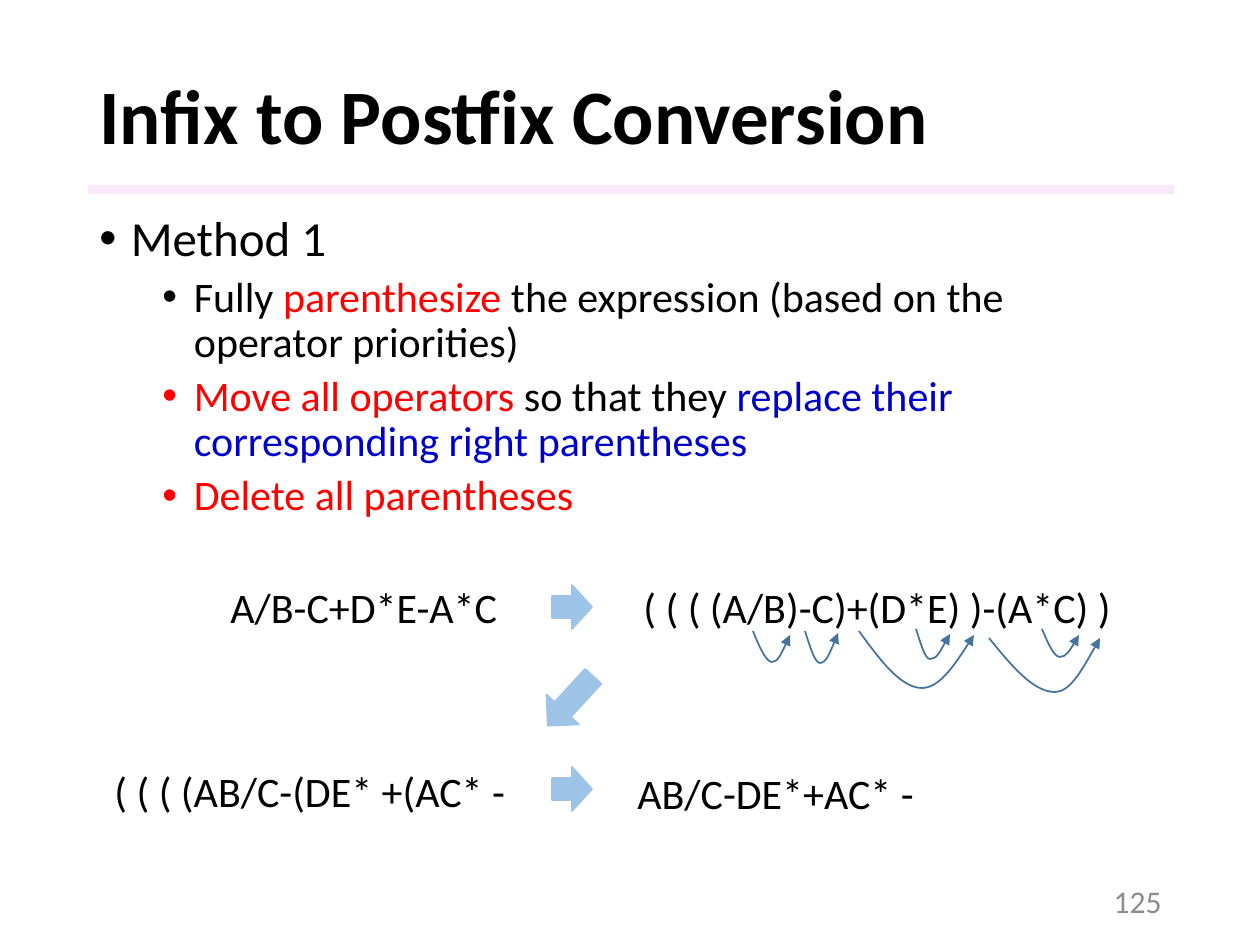
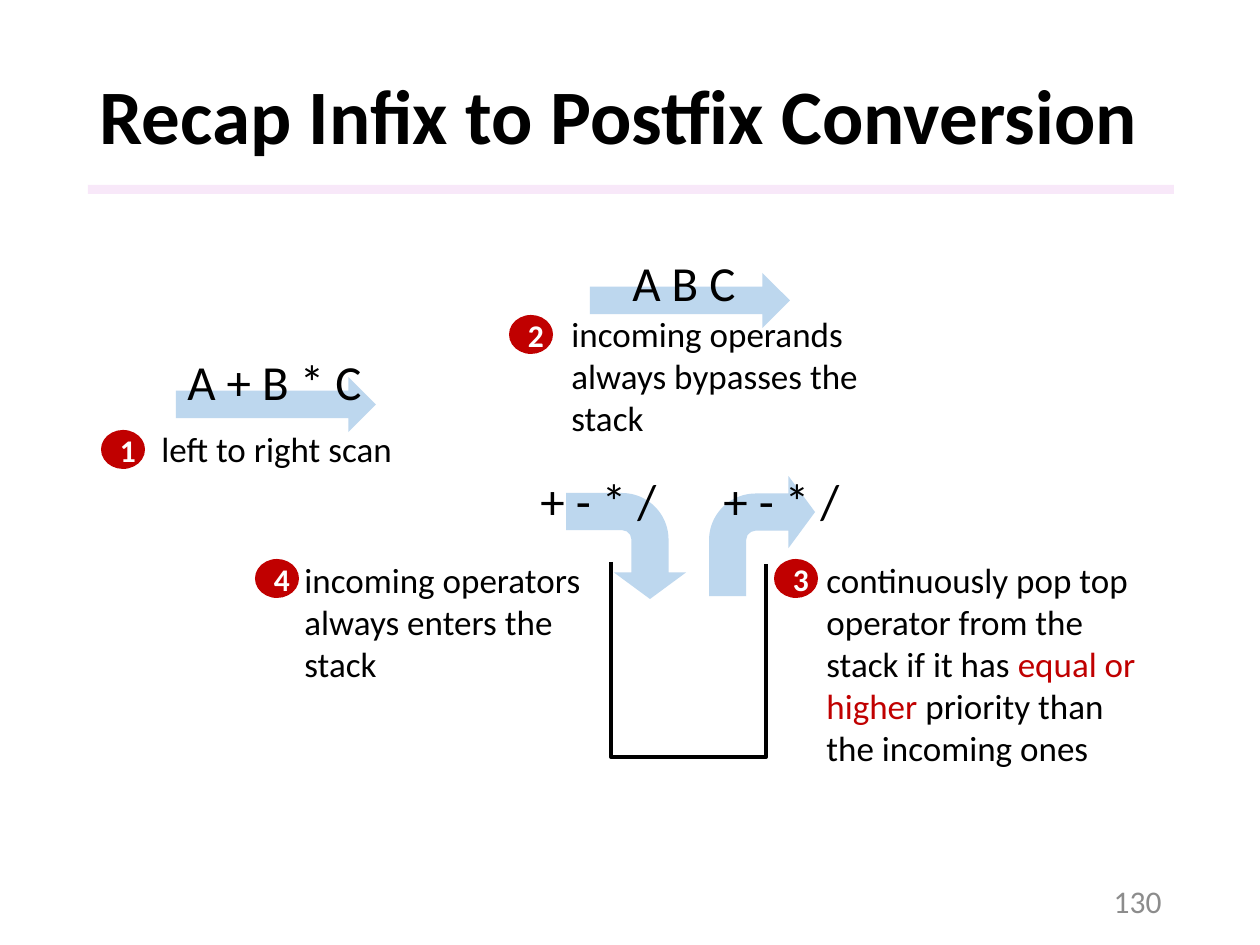
from lxml import etree
from pptx import Presentation
from pptx.dml.color import RGBColor
from pptx.enum.shapes import MSO_SHAPE
from pptx.enum.text import MSO_ANCHOR, PP_ALIGN
from pptx.oxml.ns import qn
from pptx.util import Pt

PX = 914400 / 126  # EMU per px
FONT = "Calibri"
BLACK = RGBColor(0x00, 0x00, 0x00)
WHITE = RGBColor(0xFF, 0xFF, 0xFF)
GREY = RGBColor(0x8C, 0x8C, 0x8C)
RED = RGBColor(0xFF, 0x00, 0x00)
DARK_RED = RGBColor(0xC0, 0x00, 0x00)
BLUE = RGBColor(0x00, 0x00, 0xCC)
LILAC = RGBColor(0xF3, 0xD2, 0xF4)
STEP_BLUE = RGBColor(0x9D, 0xC3, 0xE6)
FLOW_BLUE = RGBColor(0xBD, 0xD7, 0xEE)
CURVE_BLUE = RGBColor(0x43, 0x73, 0x9E)
RECTANGLE, ELLIPSE = MSO_SHAPE.RECTANGLE, MSO_SHAPE.OVAL
RIGHT_ARROW, BENT_ARROW = MSO_SHAPE.RIGHT_ARROW, MSO_SHAPE.BENT_ARROW
MIDDLE, RIGHT, CENTER = MSO_ANCHOR.MIDDLE, PP_ALIGN.RIGHT, PP_ALIGN.CENTER


def add_text(slide, box, paragraphs, size, bold=False, wrap=True):
    """Each paragraph is a list of (text, colour) runs."""
    frame = slide.shapes.add_textbox(*[int(v * PX) for v in box]).text_frame
    frame.word_wrap = wrap
    for i, runs in enumerate(paragraphs):
        paragraph = frame.add_paragraph() if i else frame.paragraphs[0]
        for words, colour in runs:
            run = paragraph.add_run()
            run.text = words
            run.font.name, run.font.size, run.font.bold = FONT, Pt(size), bold
            run.font.color.rgb = colour
    return frame


def add_block(slide, kind, box, colour, outline=False, rotation=0):
    block = slide.shapes.add_shape(kind, *[int(v * PX) for v in box])
    block.shadow.inherit = False
    block.rotation = rotation
    block.fill.solid()
    block.fill.fore_color.rgb = colour
    if outline:
        block.line.color.rgb = colour
        block.line.width = Pt(1)
    else:
        block.line.fill.background()
    return block


prs = Presentation()
prs.slide_width, prs.slide_height = int(1260 * PX), int(945 * PX)

# Shared title, band and slide number
slides = []
for title, number in [("Infix to Postfix Conversion", "125"),
                      ("Recap Infix to Postfix Conversion", "130")]:
    slide = prs.slides.add_slide(prs.slide_layouts[6])
    slides.append(slide)
    band = add_block(slide, RECTANGLE, (88, 185, 1086, 9), LILAC)
    band_colour = next(band._element.spPr.iter(qn("a:srgbClr")))
    etree.SubElement(band_colour, qn("a:alpha"), val="50000")
    heading = add_text(slide, (87, 50, 1086, 140), [[(title, BLACK)]], 44, bold=True)
    heading.vertical_anchor = MIDDLE
    heading.paragraphs[0].line_spacing = 0.9
    footer = add_text(slide, (890, 876, 284, 50), [[(number, GREY)]], 18)
    footer.vertical_anchor = MIDDLE
    footer.paragraphs[0].alignment = RIGHT
method, recap = slides

# Slide 1: bulleted steps
steps = add_text(method, (87, 208, 1086, 643), [
    [("Method 1", BLACK)],
    [("Fully ", BLACK), ("parenthesize ", RED),
     ("the expression (based on the operator priorities)", BLACK)],
    [("Move all operators ", RED), ("so that they ", BLACK),
     ("replace their corresponding right parentheses", BLUE)],
    [("Delete all parentheses", RED)],
], 24)
for i, paragraph in enumerate(steps.paragraphs):
    props = paragraph._p.get_or_add_pPr()
    props.set("marL", "685800" if i else "228600")
    props.set("indent", "-228600")
    etree.SubElement(props, qn("a:buFont"), typeface="Arial")
    etree.SubElement(props, qn("a:buChar"), char="•")
    paragraph.line_spacing = 0.9
    if i:
        paragraph.level = 1
        paragraph.space_before = Pt(5)
steps.paragraphs[0].runs[0].font.size = Pt(28)

# Slide 1: worked example
for box, expression in [
    ((218, 575, 295, 63), "A/B-C+D*E-A*C"),
    ((631, 575, 496, 63), "( ( ( (A/B)-C)+(D*E) )-(A*C) )"),
    ((102, 759, 432, 63), "( ( ( (AB/C-(DE* +(AC* -"),
    ((625, 761, 305, 63), "AB/C-DE*+AC* -"),
]:
    add_text(method, box, [[(expression, BLACK)]], 24, wrap=False)
for box, rotation in [((552, 585, 40, 44), 0), ((537, 679, 67, 44), 132.6),
                      ((552, 767, 40, 44), 0)]:
    add_block(method, RIGHT_ARROW, box, STEP_BLUE, outline=True, rotation=rotation)

# Slide 1: operator moves, each given by start, lowest point and end
for (x0, y0), (x1, y1), (x2, y2) in [
    ((753, 631), (772, 662), (790, 635)),
    ((805, 631), (820, 663), (838, 633)),
    ((916, 629), (930, 659), (950, 634)),
    ((859, 631), (922, 688), (974, 635)),
    ((1042, 629), (1060, 657), (1079, 635)),
    ((989, 638), (1055, 692), (1100, 638)),
]:
    fall, rise = (x1 - x0) / 3, (x2 - x1) / 3
    builder = method.shapes.build_freeform(x0, y0, scale=PX)
    builder.add_line_segments([
        (x0 + fall, (y0 + y1) / 2), (x1 - fall, y1), (x1, y1),
        (x1 + rise, y1), (x2 - rise, (y1 + y2) / 2), (x2, y2)], close=False)
    move = builder.convert_to_shape()
    move.shadow.inherit = False
    move.fill.background()
    move.line.color.rgb = CURVE_BLUE
    move.line.width = Pt(1)
    etree.SubElement(move.line._get_or_add_ln(), qn("a:tailEnd"), type="triangle")
    # Turn every three line segments into one cubic curve
    segments = list(move._element.iter(qn("a:lnTo")))
    outline = segments[0].getparent()
    for first in (0, 3):
        curve = etree.SubElement(outline, qn("a:cubicBezTo"))
        for segment in segments[first:first + 3]:
            curve.append(segment[0])
            outline.remove(segment)

# Slide 2: flow arrows
for box in [(176, 377, 200, 55), (590, 273, 200, 55)]:
    add_block(recap, RIGHT_ARROW, box, FLOW_BLUE)
for box, rotation in [((573, 486, 106, 120), 90), ((709, 476, 106, 120), 0)]:
    bend = add_block(recap, BENT_ARROW, box, FLOW_BLUE, rotation=rotation)
    for i, value in enumerate([0.35, 0.34, 0.25, 0.44]):
        bend.adjustments[i] = value

# Slide 2: open stack
builder = recap.shapes.build_freeform(611, 562, scale=PX)
builder.add_line_segments([(611, 757), (766, 757), (766, 564)], close=False)
stack = builder.convert_to_shape()
stack.shadow.inherit = False
stack.fill.background()
stack.line.color.rgb = BLACK
stack.line.width = Pt(2.25)

# Slide 2: tokens
for box, tokens in [((175, 345, 202, 72), "A + B * C"), ((620, 246, 141, 72), "A B C"),
                    ((528, 464, 144, 72), "+ - * /"), ((711, 464, 144, 72), "+ - * /")]:
    add_text(recap, box, [[(tokens, BLACK)]], 28, wrap=False)

# Slide 2: numbered rules
for number, (left, top), box, rule in [
    ("1", (101, 430), (149, 421, 295, 55), [("left to right scan", BLACK)]),
    ("2", (509, 315), (559, 306, 354, 140),
     [("incoming operands always bypasses the stack", BLACK)]),
    ("3", (774, 559), (814, 552, 335, 224),
     [("continuously pop top operator from the stack if it has ", BLACK),
      ("equal or higher", DARK_RED), (" priority than the incoming ones", BLACK)]),
    ("4", (255, 559), (292, 552, 335, 140),
     [("incoming operators always enters the stack", BLACK)]),
]:
    add_text(recap, box, [rule], 20)
    badge = add_block(recap, ELLIPSE, (left, top, 44, 39), DARK_RED)
    badge.text_frame.vertical_anchor = MIDDLE
    label = badge.text_frame.paragraphs[0]
    label.alignment = CENTER
    run = label.add_run()
    run.text = number
    run.font.name, run.font.size, run.font.bold = FONT, Pt(18), True
    run.font.color.rgb = WHITE

prs.save("out.pptx")
